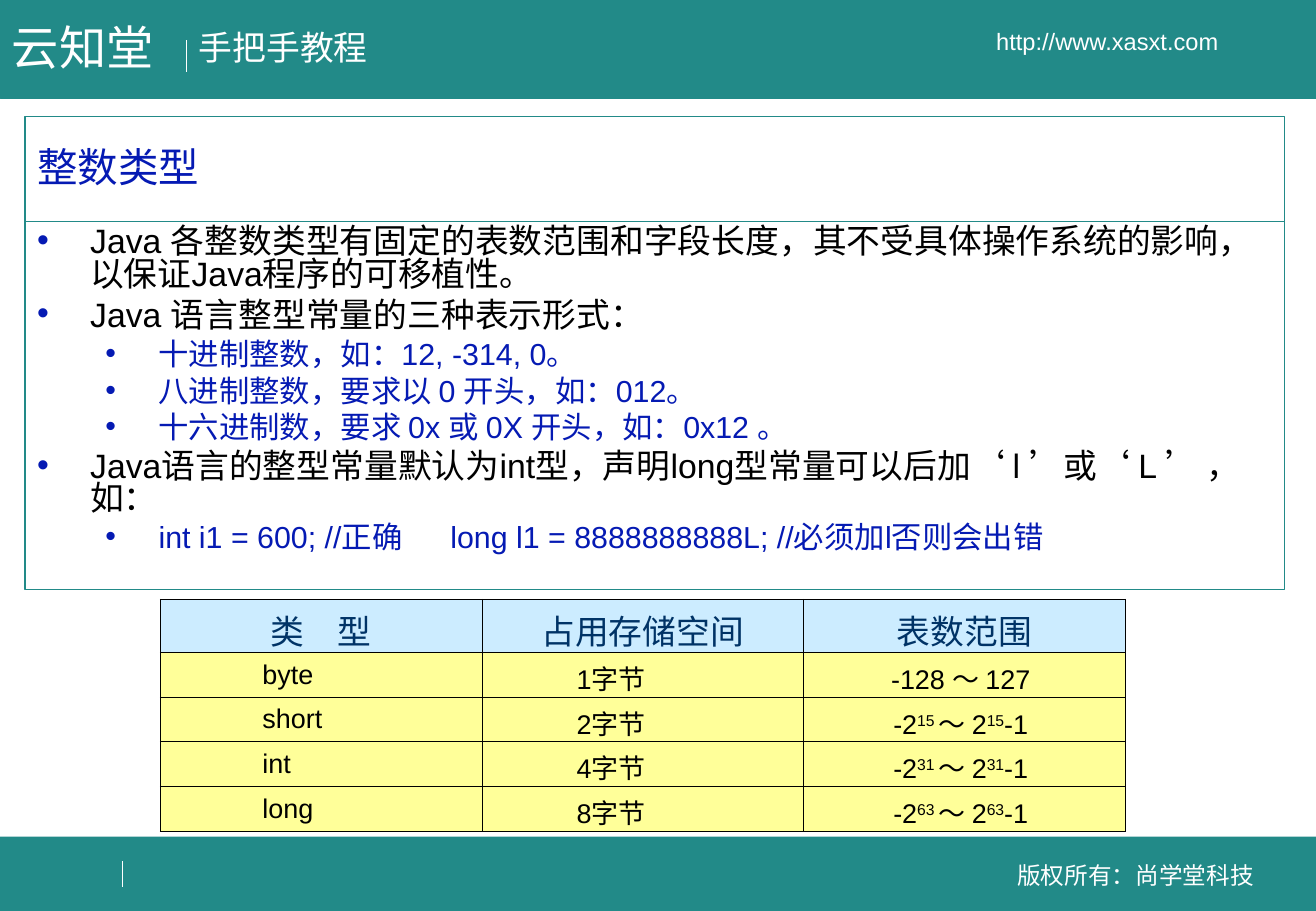
from dataclasses import dataclass
from typing import Any
from lxml.etree import SubElement
from pptx import Presentation
from pptx.dml.color import RGBColor
from pptx.enum.shapes import MSO_CONNECTOR as Connector, MSO_SHAPE as Shape
from pptx.enum.text import MSO_ANCHOR as Anchor, MSO_AUTO_SIZE as AutoSize, PP_ALIGN as Align
from pptx.oxml.ns import qn
from pptx.util import Pt

COLORS = {
    "teal": "228A88", "white": "FFFFFF", "blue": "051AB3", "black": "000000",
    "navy": "003366", "sky": "CCECFF", "yellow": "FFFF99",
}
LATIN, HAN = "Arial", "Noto Sans CJK SC"
PAGE_WIDTH, PAGE_HEIGHT = 780.13, 540
TAB_STOP = 245


@dataclass
class Span:
    text: str
    font: str = LATIN
    raised: bool = False


@dataclass
class Level:
    indent: float
    size: float
    color: str
    after: float


@dataclass
class Label:
    text: str
    area: tuple[float, float, float, float]
    size: float
    align: Align = Align.LEFT
    anchor: Anchor = Anchor.TOP
    wrap: bool = True


@dataclass
class Column:
    align: Align
    margin: float


TOPIC = Level(31.5, 20, "black", 5)
EXAMPLE = Level(72, 18, "blue", 4.5)
HANGING = 31.5

BARS = [(0, 496, 780, 44), (0, 0, 780, 58.5)]
DIVIDERS = [(110.5, 24, 42.5), (72.5, 510.5, 525.5)]
LABELS = [
    Label("手把手教程", (110.7, 12.5, 114.5, 31.5), 20, wrap=False),
    Label("版权所有：尚学堂科技", (582.5, 506.5, 181.5, 24.5), 14, Align.CENTER, Anchor.MIDDLE),
    Label("http://www.xasxt.com", (533, 12, 247, 24.5), 14, Align.CENTER, Anchor.MIDDLE),
    Label("云知堂", (0, 7.2, 98.5, 41), 28, wrap=False),
]
POINTS = [
    (TOPIC, "Java 各整数类型有固定的表数范围和字段长度，其不受具体操作系统的影响，以保证Java程序的可移植性。"),
    (TOPIC, "Java 语言整型常量的三种表示形式："),
    (EXAMPLE, "十进制整数，如：12, -314, 0。"),
    (EXAMPLE, "八进制整数，要求以 0 开头，如：012。"),
    (EXAMPLE, "十六进制数，要求 0x 或 0X 开头，如：0x12 。"),
    (TOPIC, "Java语言的整型常量默认为int型，声明long型常量可以后加‘ l ’或‘ L ’ ，如："),
    (EXAMPLE, "int i1 = 600; //正确\tlong l1 = 8888888888L; //必须加l否则会出错"),
]
HEADINGS = ["类　型", "占用存储空间", "表数范围"]
INTEGERS = [("byte", 1), ("short", 2), ("int", 4), ("long", 8)]
COLUMNS = [Column(Align.LEFT, 60.6), Column(Align.LEFT, 56.1), Column(Align.CENTER, 7.2)]
COLUMN_WIDTH = 190.7


def color_of(name: str) -> RGBColor:
    return RGBColor.from_string(COLORS[name])


def apply(target: Any, values: dict[str, Any]) -> None:
    for name, value in values.items():
        setattr(target, name, value)


def write(para: Any, spans: list[Span], size: float, color: str) -> None:
    for item in spans:
        span = para.add_run()
        span.text = item.text
        apply(span.font, {"name": item.font, "size": Pt(size)})
        span.font.color.rgb = color_of(color)
        if item.raised:
            span.font._element.set("baseline", "30000")


def add_bar(page: Any, area: tuple[float, float, float, float]) -> None:
    bar = page.shapes.add_shape(Shape.RECTANGLE, *map(Pt, area))
    bar.shadow.inherit = False
    bar.fill.solid()
    bar.fill.fore_color.rgb = color_of("teal")
    bar.line.color.rgb = color_of("teal")
    bar.line.width = Pt(0.25)


def add_divider(page: Any, x: float, top: float, bottom: float) -> None:
    divider = page.shapes.add_connector(Connector.STRAIGHT, Pt(x), Pt(top), Pt(x), Pt(bottom))
    divider.line.color.rgb = color_of("white")
    divider.line.width = Pt(0.75)
    SubElement(divider._element.spPr, qn("a:effectLst"))


def add_label(page: Any, label: Label) -> None:
    frame = page.shapes.add_textbox(*map(Pt, label.area)).text_frame
    apply(frame, {
        "word_wrap": label.wrap, "vertical_anchor": label.anchor,
        "auto_size": AutoSize.SHAPE_TO_FIT_TEXT,
    })
    para = frame.paragraphs[0]
    para.alignment = label.align
    write(para, [Span(label.text)], label.size, "white")


def add_panel(page: Any, top: float, height: float, anchor: Anchor) -> Any:
    box = page.shapes.add_shape(Shape.RECTANGLE, Pt(14.9), Pt(top), Pt(746.6), Pt(height))
    box.shadow.inherit = False
    box.fill.background()
    box.line.color.rgb = color_of("teal")
    box.line.width = Pt(0.75)
    apply(box.text_frame, {"word_wrap": True, "vertical_anchor": anchor})
    return box.text_frame


def add_bullet(para: Any, level: Level) -> None:
    props = para._p.get_or_add_pPr()
    props.set("marL", str(Pt(level.indent)))
    props.set("indent", str(-Pt(HANGING)))
    SubElement(SubElement(props, qn("a:buClr")), qn("a:srgbClr"), val=COLORS["blue"])
    SubElement(props, qn("a:buFont"), typeface=LATIN)
    SubElement(props, qn("a:buChar"), char="•")
    if "\t" in "".join(span.text for span in para.runs):
        stops = SubElement(props, qn("a:tabLst"))
        SubElement(stops, qn("a:tab"), pos=str(Pt(TAB_STOP)), algn="l")


def add_points(frame: Any) -> None:
    for index, (level, text) in enumerate(POINTS):
        para = frame.add_paragraph() if index else frame.paragraphs[0]
        write(para, [Span(text)], level.size, level.color)
        add_bullet(para, level)
        apply(para, {
            "level": int(level is EXAMPLE), "alignment": Align.LEFT,
            "line_spacing": 0.8, "space_after": Pt(level.after),
        })


def range_spans(size: int) -> list[Span]:
    if size == 1:
        return [Span("-128 ～ 127 ")]
    power = str(size * 8 - 1)
    return [Span("-2"), Span(power + " ", raised=True), Span("～ 2"),
            Span(power, raised=True), Span("-1 ")]


def fill_cell(cell: Any, spans: list[Span], column: Column, size: float,
              color: str, back: str, after: float) -> None:
    apply(cell, {"vertical_anchor": Anchor.MIDDLE, "margin_left": Pt(column.margin)})
    props = cell._tc.get_or_add_tcPr()
    for side in ("lnL", "lnR", "lnT", "lnB"):
        edge = SubElement(props, qn(f"a:{side}"), w=str(Pt(0.45)))
        SubElement(SubElement(edge, qn("a:solidFill")), qn("a:srgbClr"), val=COLORS["black"])
    cell.fill.solid()
    cell.fill.fore_color.rgb = color_of(back)
    para = cell.text_frame.paragraphs[0]
    apply(para, {"alignment": column.align, "space_after": Pt(after)})
    write(para, spans, size, color)


def add_integer_table(page: Any) -> None:
    table = page.shapes.add_table(5, 3, Pt(95), Pt(355.2), Pt(3 * COLUMN_WIDTH), Pt(137.5)).table
    apply(table, {"first_row": False, "horz_banding": False})
    for column in table.columns:
        column.width = Pt(COLUMN_WIDTH)
    for index, row in enumerate(table.rows):
        row.height = Pt(26.5 if index else 31.5)
    for cell, heading in zip(table.rows[0].cells, HEADINGS):
        fill_cell(cell, [Span(heading)], Column(Align.CENTER, 7.2), 20, "navy", "sky", 5)
    for index, (name, size) in enumerate(INTEGERS, 1):
        contents = [[Span(name)], [Span(str(size)), Span("字节", HAN)], range_spans(size)]
        for cell, spans, column in zip(table.rows[index].cells, contents, COLUMNS):
            fill_cell(cell, spans, column, 16, "black", "yellow", 4)


def main() -> None:
    deck = Presentation()
    apply(deck, {"slide_width": Pt(PAGE_WIDTH), "slide_height": Pt(PAGE_HEIGHT)})
    page = deck.slides.add_slide(deck.slide_layouts[6])
    for area in BARS:
        add_bar(page, area)
    for divider in DIVIDERS:
        add_divider(page, *divider)
    for label in LABELS:
        add_label(page, label)
    add_integer_table(page)
    title = add_panel(page, 69.2, 62.3, Anchor.MIDDLE).paragraphs[0]
    apply(title, {"alignment": Align.LEFT, "line_spacing": 0.9})
    write(title, [Span("整数类型")], 24, "blue")
    add_points(add_panel(page, 131.5, 218, Anchor.TOP))
    deck.save("out.pptx")


if __name__ == "__main__":
    main()
